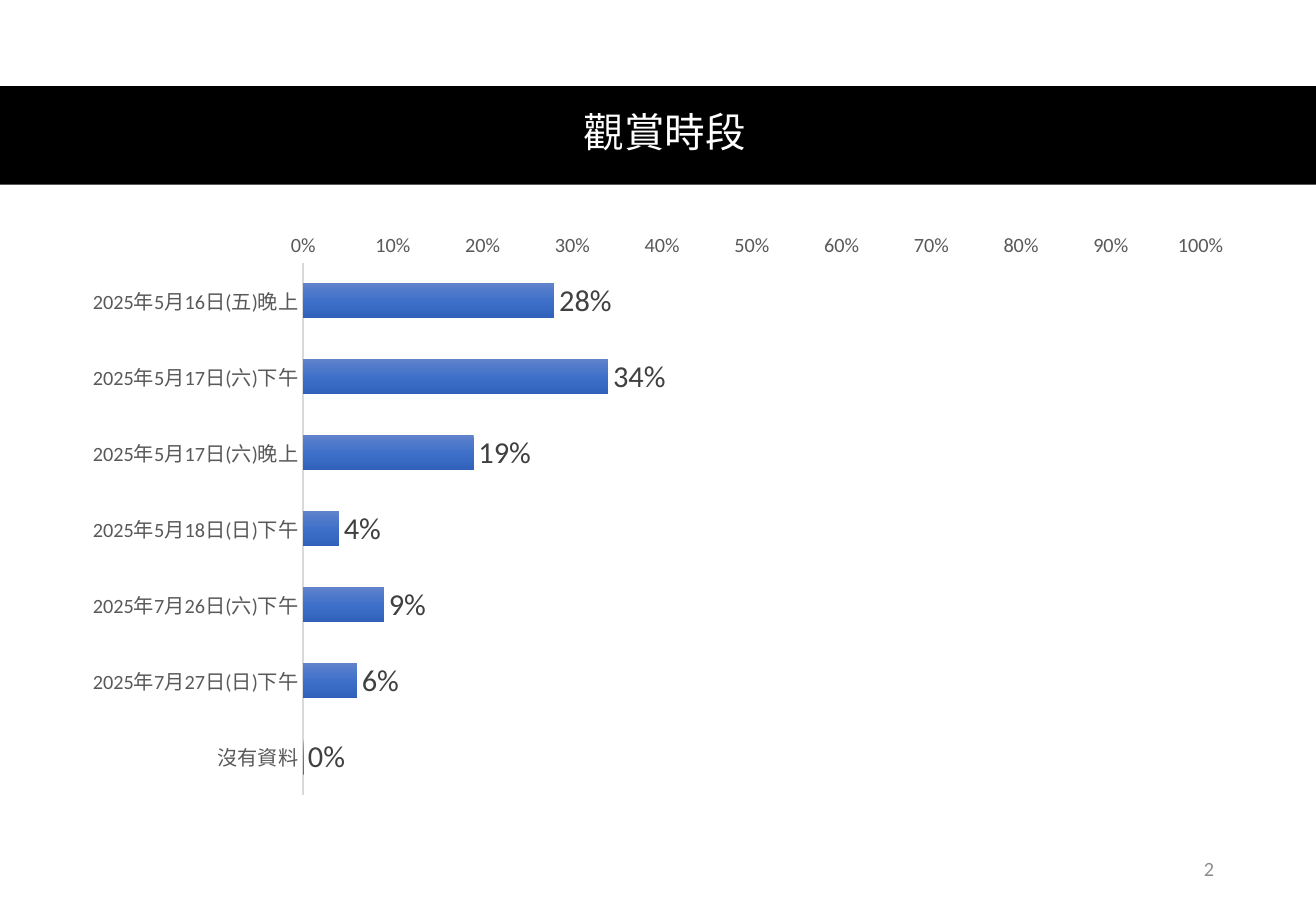
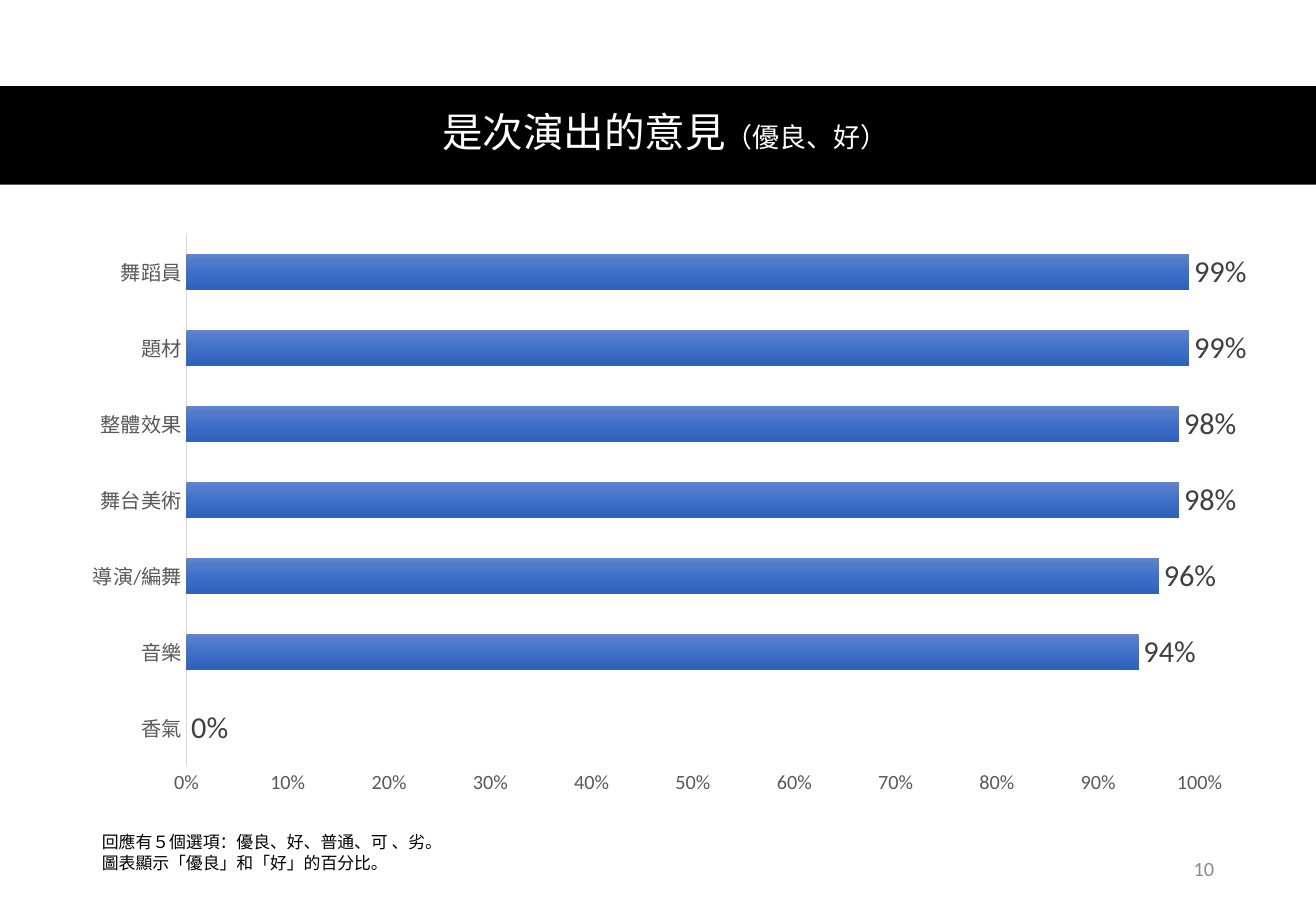
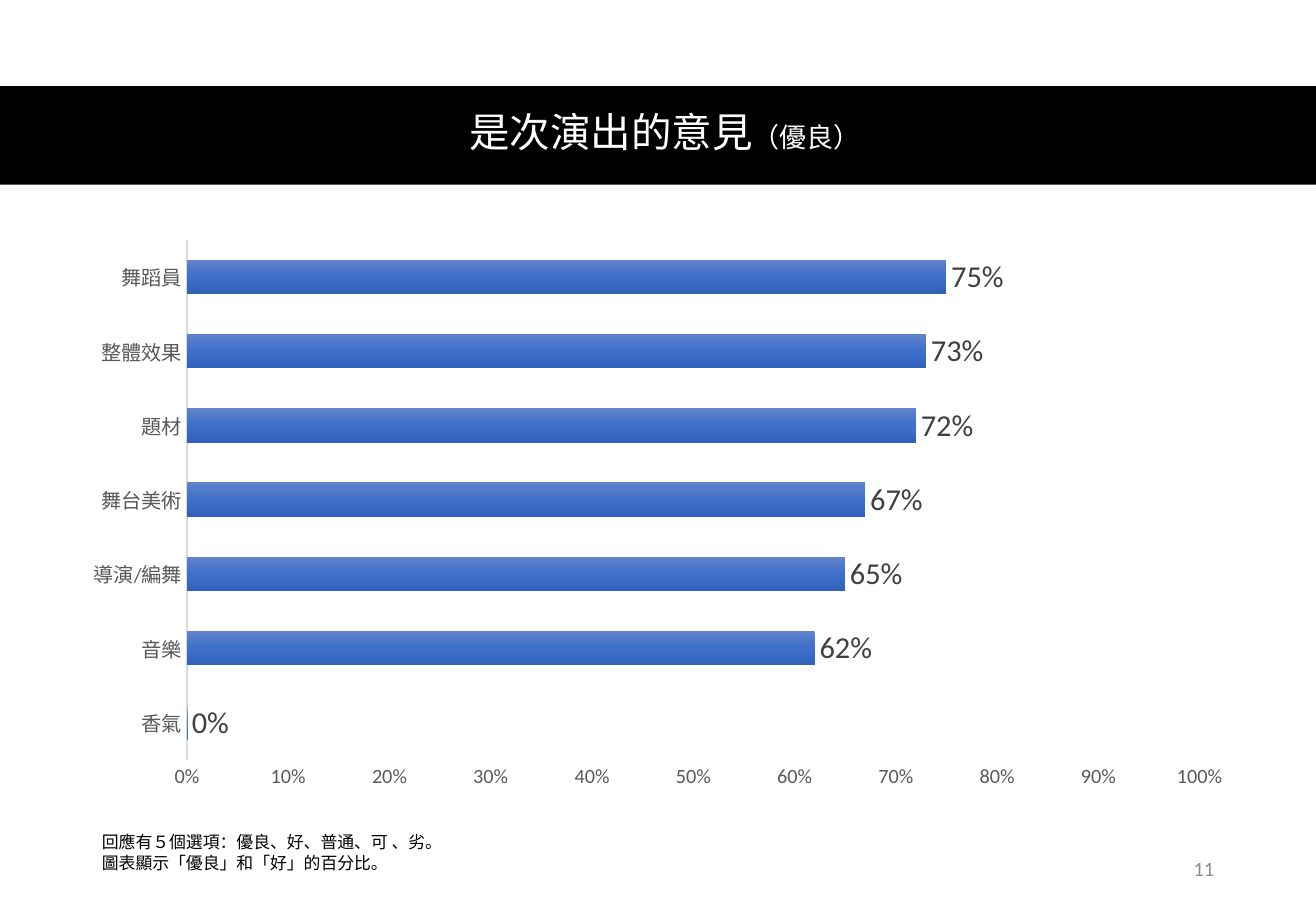
from dataclasses import dataclass

from pptx import Presentation
from pptx.chart.data import CategoryChartData
from pptx.dml.color import RGBColor
from pptx.enum.chart import XL_CHART_TYPE, XL_LABEL_POSITION, XL_TICK_MARK
from pptx.enum.shapes import MSO_SHAPE
from pptx.enum.text import MSO_ANCHOR, MSO_AUTO_SIZE, PP_ALIGN
from pptx.oxml import parse_xml
from pptx.oxml.ns import nsdecls, qn
from pptx.util import Inches, Pt


@dataclass(frozen=True)
class Theme:
    band: str = "000000"
    title: str = "FFFFFF"
    note: str = "000000"
    axis_text: str = "595959"
    axis_line: str = "D9D9D9"
    value_text: str = "404040"
    page_number: str = "8C8C8C"
    bar_stops: tuple = ((0, "6183CB"), (50, "3E70CA"), (100, "3062BB"))
    title_font: str = "Roboto"
    chart_font: str = "Calibri"
    note_font: str = "Arial"
    title_size: int = 24
    subtitle_size: int = 16
    value_size: int = 18
    axis_size: int = 12
    number_size: int = 12
    note_size: int = 10


def style_font(font, name, color, size=None):
    font.name = name
    font.color.rgb = RGBColor.from_string(color)
    if size:
        font.size = Pt(size)


class SurveyDeck:
    def __init__(self, theme):
        self.theme = theme
        self.deck = Presentation()
        self.deck.slide_width = Inches(10.83)
        self.deck.slide_height = Inches(7.5)
        self.page = None

    def add_page(self, title, subtitle, number):
        self.page = self.deck.slides.add_slide(self.deck.slide_layouts[6])
        self.add_band()
        self.add_title(title, subtitle)
        self.add_number(number)

    def add_box(self, left, top, width, height, anchor=MSO_ANCHOR.TOP, wrap=True):
        box = self.page.shapes.add_textbox(
            Inches(left), Inches(top), Inches(width), Inches(height))
        box.text_frame.word_wrap = wrap
        box.text_frame.vertical_anchor = anchor
        return box.text_frame

    def add_band(self):
        band = self.page.shapes.add_shape(
            MSO_SHAPE.RECTANGLE, 0, Inches(0.71), self.deck.slide_width, Inches(0.81))
        band.shadow.inherit = False
        band.fill.solid()
        band.fill.fore_color.rgb = RGBColor.from_string(self.theme.band)
        band.line.fill.background()

    def add_title(self, title, subtitle):
        para = self.add_box(0.49, 0.7, 9.96, 0.81, MSO_ANCHOR.MIDDLE).paragraphs[0]
        para.alignment = PP_ALIGN.CENTER
        para.line_spacing = 0.9
        style_font(para.font, self.theme.title_font, self.theme.title)
        for text, size in ((title, self.theme.title_size),
                           (subtitle, self.theme.subtitle_size)):
            if text:
                span = para.add_run()
                span.text = text
                span.font.size = Pt(size)

    def add_number(self, number):
        para = self.add_box(7.65, 6.95, 2.44, 0.4, MSO_ANCHOR.MIDDLE).paragraphs[0]
        para.text = str(number)
        para.alignment = PP_ALIGN.RIGHT
        style_font(para.font, self.theme.chart_font, self.theme.page_number,
                   self.theme.number_size)

    def add_note(self, lines):
        frame = self.add_box(0.74, 6.8, 3.05, 0.44, wrap=False)
        frame.auto_size = MSO_AUTO_SIZE.SHAPE_TO_FIT_TEXT
        frame.text = "\n".join(lines)
        for para in frame.paragraphs:
            style_font(para.font, self.theme.note_font, self.theme.note,
                       self.theme.note_size)

    def add_bars(self, rows, reverse=False, layout=None):
        theme = self.theme
        data = CategoryChartData(number_format="0%")
        data.categories = [name for name, percent in rows]
        data.add_series("Series 1", [percent / 100 for name, percent in rows])
        chart = self.page.shapes.add_chart(
            XL_CHART_TYPE.BAR_CLUSTERED, Inches(0.57), Inches(1.83),
            Inches(9.69), Inches(4.81), data).chart
        chart.has_title = False
        chart.has_legend = False
        style_font(chart.font, theme.chart_font, theme.note, theme.note_size)

        for axis in (chart.category_axis, chart.value_axis):
            axis.major_tick_mark = XL_TICK_MARK.NONE
            axis.minor_tick_mark = XL_TICK_MARK.NONE
            axis.has_major_gridlines = False
            style_font(axis.tick_labels.font, theme.chart_font, theme.axis_text,
                       theme.axis_size)
        line = chart.category_axis.format.line
        line.color.rgb = RGBColor.from_string(theme.axis_line)
        line.width = Pt(1)
        chart.category_axis.reverse_order = reverse
        values = chart.value_axis
        values.minimum_scale, values.maximum_scale, values.major_unit = 0, 1, 0.1
        values.tick_labels.number_format = "0%"
        values.tick_labels.number_format_is_linked = False
        values.format.line.fill.background()

        plot = chart.plots[0]
        plot.gap_width = 115
        plot.overlap = -20
        plot.vary_by_categories = False
        plot.has_data_labels = True
        labels = plot.data_labels
        labels.show_value = True
        labels.number_format = "0%"
        labels.number_format_is_linked = False
        labels.position = XL_LABEL_POSITION.OUTSIDE_END
        style_font(labels.font, theme.chart_font, theme.value_text, theme.value_size)
        self.fill_bars(plot.series[0])
        if layout:
            self.place_plot(chart, layout)

    def fill_bars(self, series):
        series.format.fill.solid()
        solid = series.format.fill._xPr.find(qn("a:solidFill"))
        stops = "".join(
            f'<a:gs pos="{place * 1000}"><a:srgbClr val="{color}"/></a:gs>'
            for place, color in self.theme.bar_stops)
        solid.getparent().replace(solid, parse_xml(
            f'<a:gradFill {nsdecls("a")} rotWithShape="1"><a:gsLst>{stops}</a:gsLst>'
            '<a:lin ang="5400000" scaled="0"/></a:gradFill>'))

    def place_plot(self, chart, layout):
        area = chart.element.find(".//" + qn("c:plotArea"))
        for old in area.findall(qn("c:layout")):
            area.remove(old)
        sizes = "".join(f'<c:{key} val="{value}"/>'
                        for key, value in zip("xywh", layout))
        area.insert(0, parse_xml(
            f'<c:layout {nsdecls("c")}><c:manualLayout><c:layoutTarget val="inner"/>'
            f'<c:xMode val="edge"/><c:yMode val="edge"/>{sizes}'
            '</c:manualLayout></c:layout>'))


SESSIONS = [
    ("2025年5月16日(五)晚上", 28),
    ("2025年5月17日(六)下午", 34),
    ("2025年5月17日(六)晚上", 19),
    ("2025年5月18日(日)下午", 4),
    ("2025年7月26日(六)下午", 9),
    ("2025年7月27日(日)下午", 6),
    ("沒有資料", 0),
]
GOOD_OR_BETTER = [
    ("香氣", 0), ("音樂", 94), ("導演/編舞", 96), ("舞台美術", 98),
    ("整體效果", 98), ("題材", 99), ("舞蹈員", 99),
]
EXCELLENT = [
    ("香氣", 0), ("音樂", 62), ("導演/編舞", 65), ("舞台美術", 67),
    ("題材", 72), ("整體效果", 73), ("舞蹈員", 75),
]
OPINION_TITLE = "是次演出的意見"
OPINION_NOTE = (
    "回應有５個選項：優良、好、普通、可 、劣。",
    "圖表顯示「優良」和「好」的百分比。",
)


def main():
    survey = SurveyDeck(Theme())
    survey.add_page("觀賞時段", "", 2)
    survey.add_bars(SESSIONS, reverse=True)
    for subtitle, number, rows, layout in (
            ("（優良、好）", 10, GOOD_OR_BETTER, None),
            ("（優良）", 11, EXCELLENT, (0.1, 0.03, 0.86, 0.89))):
        survey.add_page(OPINION_TITLE, subtitle, number)
        survey.add_bars(rows, layout=layout)
        survey.add_note(OPINION_NOTE)
    survey.deck.save("out.pptx")


if __name__ == "__main__":
    main()
